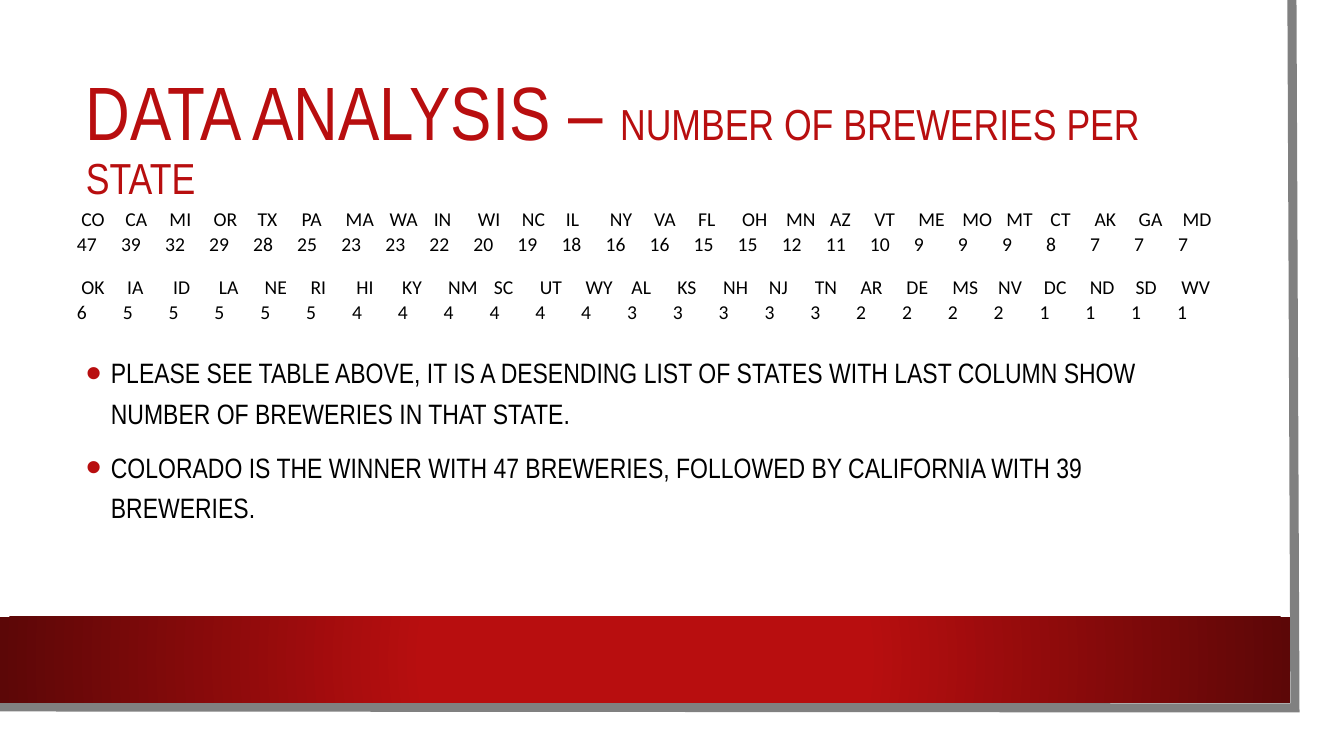
from lxml import etree
from pptx import Presentation
from pptx.dml.color import RGBColor
from pptx.enum.shapes import MSO_SHAPE
from pptx.enum.text import MSO_ANCHOR
from pptx.oxml import parse_xml
from pptx.oxml.ns import nsdecls, qn
from pptx.util import Pt

RECTANGLE = MSO_SHAPE.RECTANGLE
MIDDLE, BOTTOM, TOP = MSO_ANCHOR.MIDDLE, MSO_ANCHOR.BOTTOM, MSO_ANCHOR.TOP

RED = RGBColor(0xB8, 0x0E, 0x0F)
DARK_RED = RGBColor(0x5C, 0x07, 0x07)
GRAY = RGBColor(0x80, 0x80, 0x80)
WHITE = RGBColor(0xFF, 0xFF, 0xFF)
BLACK = RGBColor(0x00, 0x00, 0x00)

HEADING_FONT = "Arial Narrow"
TABLE_FONT = "Calibri"

TITLE = [("DATA ANALYSIS – ", 54), ("NUMBER OF BREWERIES PER STATE", 31)]
FINDINGS = [
    "PLEASE SEE TABLE ABOVE, IT IS A DESENDING LIST OF STATES WITH LAST COLUMN SHOW "
    "NUMBER OF BREWERIES IN THAT STATE.",
    "COLORADO IS THE WINNER WITH 47 BREWERIES, FOLLOWED BY CALIFORNIA WITH 39 BREWERIES.",
]
BREWERY_TABLES = [
    (207, [
        ("CO", 47), ("CA", 39), ("MI", 32), ("OR", 29), ("TX", 28), ("PA", 25), ("MA", 23),
        ("WA", 23), ("IN", 22), ("WI", 20), ("NC", 19), ("IL", 18), ("NY", 16), ("VA", 16),
        ("FL", 15), ("OH", 15), ("MN", 12), ("AZ", 11), ("VT", 10), ("ME", 9), ("MO", 9),
        ("MT", 9), ("CT", 8), ("AK", 7), ("GA", 7), ("MD", 7),
    ]),
    (275, [
        ("OK", 6), ("IA", 5), ("ID", 5), ("LA", 5), ("NE", 5), ("RI", 5), ("HI", 4),
        ("KY", 4), ("NM", 4), ("SC", 4), ("UT", 4), ("WY", 4), ("AL", 3), ("KS", 3),
        ("NH", 3), ("NJ", 3), ("TN", 3), ("AR", 2), ("DE", 2), ("MS", 2), ("NV", 2),
        ("DC", 1), ("ND", 1), ("SD", 1), ("WV", 1),
    ]),
]

SLIDE_WIDTH, SLIDE_HEIGHT = 1344, 756
CONTENT_LEFT, CONTENT_WIDTH = 76, 1146
ROW_HEIGHT = 24
FRAME_LINE = [(1292, 0), (1295, 708), (-3, 707)]


def px(length):
    return round(length * 914400 / 100.8)


def box(*lengths):
    return [px(length) for length in lengths]


def write(paragraph, text, size, font=HEADING_FONT, color=BLACK):
    run = paragraph.add_run()
    run.text = text
    run.font.size = Pt(size)
    run.font.name = font
    run.font.color.rgb = color


def add_bullet(paragraph):
    properties = paragraph._p.get_or_add_pPr()
    properties.set("marL", str(px(25)))
    properties.set("indent", str(px(-25)))
    color = etree.SubElement(properties, qn("a:buClr"))
    etree.SubElement(color, qn("a:srgbClr"), val=str(RED))
    etree.SubElement(properties, qn("a:buSzPct"), val="160000")
    etree.SubElement(properties, qn("a:buFont"), typeface="Arial")
    etree.SubElement(properties, qn("a:buChar"), char="•")


def add_rectangle(slide, *bounds):
    shape = slide.shapes.add_shape(RECTANGLE, *box(*bounds))
    shape.shadow.inherit = False
    shape.fill.solid()
    shape.fill.fore_color.rgb = WHITE
    shape.line.fill.background()
    return shape


def add_frame(slide):
    add_rectangle(slide, 0, 0, 1320, 733)
    start, *corners = FRAME_LINE
    builder = slide.shapes.build_freeform(*box(*start))
    builder.add_line_segments([box(*corner) for corner in corners], close=False)
    edge = builder.convert_to_shape()
    edge.shadow.inherit = False
    edge.fill.background()
    edge.line.color.rgb = GRAY
    edge.line.width = Pt(6.5)
    etree.SubElement(edge.line._ln, qn("a:miter"), lim="800000")

    band = add_rectangle(slide, 0, 617, 1290, 86)
    solid = band._element.spPr.find(qn("a:solidFill"))
    gradient = parse_xml(
        f'<a:gradFill {nsdecls("a")} rotWithShape="1"><a:gsLst>'
        f'<a:gs pos="34000"><a:srgbClr val="{RED}"/></a:gs>'
        f'<a:gs pos="100000"><a:srgbClr val="{DARK_RED}"/></a:gs></a:gsLst>'
        '<a:path path="circle"><a:fillToRect l="50000" t="50000" r="50000" b="50000"/>'
        '</a:path></a:gradFill>'
    )
    band._element.spPr.replace(solid, gradient)


def add_text_frame(slide, top, height, anchor):
    shape = slide.shapes.add_textbox(*box(CONTENT_LEFT, top, CONTENT_WIDTH, height))
    frame = shape.text_frame
    frame.word_wrap = True
    frame.vertical_anchor = anchor
    return frame


def add_title(slide):
    paragraph = add_text_frame(slide, 76, 127, MIDDLE).paragraphs[0]
    paragraph.line_spacing = 0.9
    for text, size in TITLE:
        write(paragraph, text, size, color=RED)


def add_findings(slide):
    frame = add_text_frame(slide, 228, 365, TOP)
    frame.margin_top = px(121)
    for index, text in enumerate(FINDINGS):
        paragraph = frame.add_paragraph() if index else frame.paragraphs[0]
        paragraph.line_spacing = 1.2
        paragraph.space_before = Pt(10 if index else 0)
        add_bullet(paragraph)
        write(paragraph, text, 20)


def add_brewery_table(slide, top, breweries):
    bounds = box(CONTENT_LEFT, top, CONTENT_WIDTH, 2 * ROW_HEIGHT)
    table = slide.shapes.add_table(2, len(breweries), *bounds).table
    table.first_row = False
    table.horz_banding = False
    for column, (state, count) in enumerate(breweries):
        table.columns[column].width = px(CONTENT_WIDTH / len(breweries))
        for row, text in enumerate((f" {state}", str(count))):
            cell = table.cell(row, column)
            cell.fill.background()
            cell.vertical_anchor = BOTTOM
            cell.margin_left = cell.margin_right = cell.margin_top = px(1)
            cell.margin_bottom = 0
            write(cell.text_frame.paragraphs[0], text, 14, font=TABLE_FONT)


def main():
    presentation = Presentation()
    presentation.slide_width, presentation.slide_height = box(SLIDE_WIDTH, SLIDE_HEIGHT)
    slide = presentation.slides.add_slide(presentation.slide_layouts[6])
    add_frame(slide)
    add_title(slide)
    add_findings(slide)
    for top, breweries in BREWERY_TABLES:
        add_brewery_table(slide, top, breweries)
    presentation.save("out.pptx")


if __name__ == "__main__":
    main()
